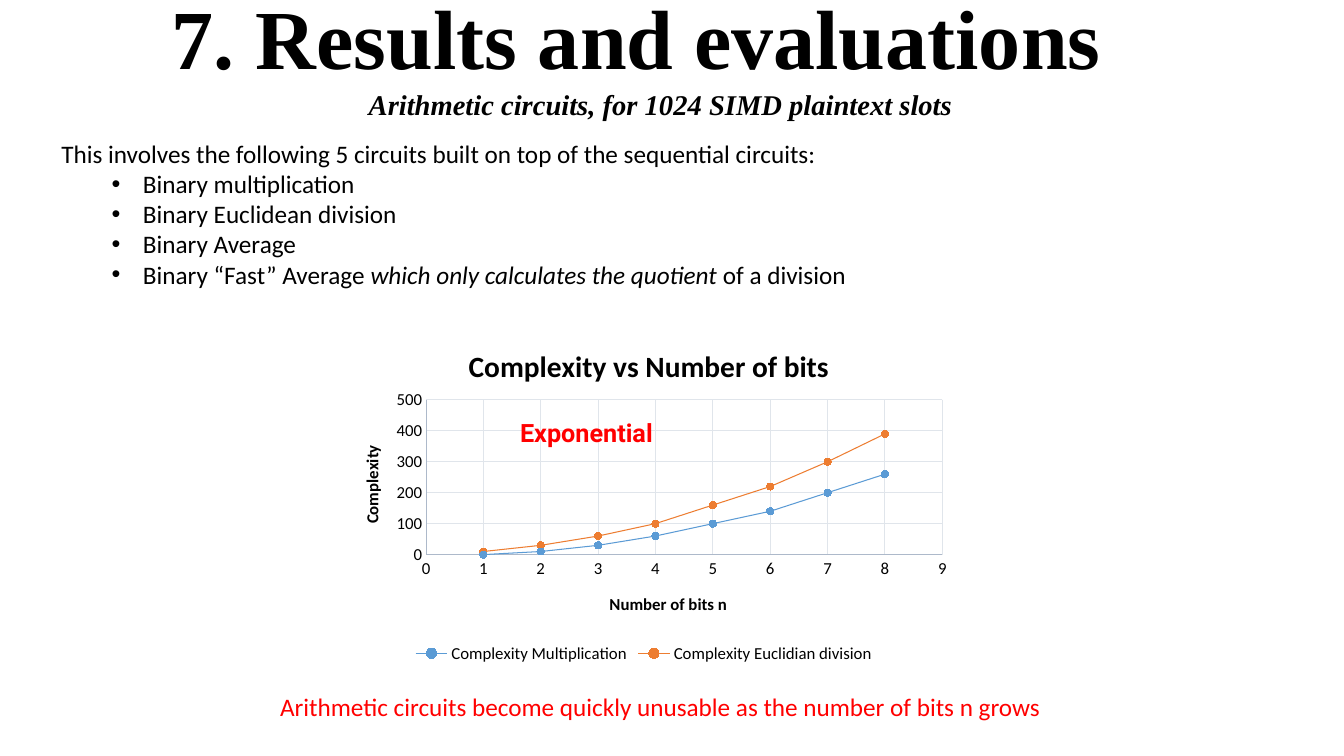
from dataclasses import dataclass

from lxml.etree import SubElement
from pptx import Presentation
from pptx.chart.data import XyChartData
from pptx.dml.color import RGBColor
from pptx.enum.chart import XL_CHART_TYPE as ChartType
from pptx.enum.chart import XL_LEGEND_POSITION as LegendPos
from pptx.enum.chart import XL_MARKER_STYLE as Marker
from pptx.enum.chart import XL_TICK_MARK as Tick
from pptx.enum.text import MSO_ANCHOR as Anchor
from pptx.enum.text import PP_ALIGN as Align
from pptx.oxml import parse_xml
from pptx.oxml.ns import nsdecls, qn
from pptx.util import Inches, Pt


@dataclass(frozen=True)
class Theme:
    body: str = "Calibri"
    heading: str = "Times New Roman"
    accent: str = "Roboto"
    black: str = "000000"
    red: str = "FF0000"
    axis: str = "ADB9CA"
    grid: str = "E0E5EB"
    title_pt: float = 60
    subtitle_pt: float = 20.4
    body_pt: float = 18
    chart_title_pt: float = 21
    chart_pt: float = 12
    line_pt: float = 0.75
    marker_pt: int = 5


@dataclass(frozen=True)
class Label:
    text: str
    box: tuple[float, float, float, float]
    font: str
    size: float
    color: str
    bold: bool = False
    italic: bool = False
    align: Align = Align.LEFT
    anchor: Anchor = Anchor.TOP
    spacing: float = 1.0


@dataclass(frozen=True)
class Curve:
    name: str
    values: tuple[int, ...]
    line: str
    marker: str


T = Theme()

LABELS = [
    Label("Exponential", (5.06, 4.09, 1.57, 0.4), T.accent, T.body_pt, T.red, bold=True),
    Label("7. Results and evaluations", (0, -0.13, 12.62, 1.05), T.heading, T.title_pt,
          T.black, True, False, Align.CENTER, Anchor.BOTTOM, 0.9),
    Label("Arithmetic circuits, for 1024 SIMD plaintext slots", (2.75, 0.88, 7.6, 0.36),
          T.heading, T.subtitle_pt, T.black, True, True, Align.CENTER, Anchor.BOTTOM, 0.7),
    Label("Arithmetic circuits become quickly unusable as the number of bits n grows",
          (1.82, 6.81, 9.46, 0.4), T.body, T.body_pt, T.red, align=Align.CENTER),
]
INTRO = Label("This involves the following 5 circuits built on top of the sequential circuits:",
              (0.51, 1.32, 12.38, 1.62), T.body, T.body_pt, T.black)
# Each circuit is a list of (text, italic) runs
CIRCUITS = [
    [("Binary multiplication", False)],
    [("Binary Euclidean division", False)],
    [("Binary Average", False)],
    [("Binary “Fast” Average ", False), ("which only calculates the quotient ", True),
     ("of a division", False)],
]
CURVES = [
    Curve("Complexity Multiplication", (0, 10, 30, 60, 100, 140, 200, 260), "5B9BD5", "559BDB"),
    Curve("Complexity Euclidian division", (10, 30, 60, 100, 160, 220, 300, 390),
          "ED7D31", "F67B28"),
]


def style_font(font, name: str, size: float, color: str,
               bold: bool = False, italic: bool = False) -> None:
    font.name, font.size, font.bold, font.italic = name, Pt(size), bold, italic
    font.color.rgb = RGBColor.from_string(color)


def style_line(line, color: str) -> None:
    line.width = Pt(T.line_pt)
    line.color.rgb = RGBColor.from_string(color)


def add_label(slide, label: Label):
    sp = slide.shapes.add_textbox(*map(Inches, label.box))
    tf = sp.text_frame
    tf.word_wrap = True
    tf.vertical_anchor = label.anchor
    tf.text = label.text
    p = tf.paragraphs[0]
    p.alignment, p.line_spacing = label.align, label.spacing
    style_font(p.runs[0].font, label.font, label.size, label.color, label.bold, label.italic)
    return tf


def add_bullet(tf, runs: list[tuple[str, bool]]) -> None:
    p = tf.add_paragraph()
    p.level = 1
    for text, italic in runs:
        r = p.add_run()
        r.text = text
        style_font(r.font, T.body, T.body_pt, T.black, italic=italic)
    pPr = p._p.get_or_add_pPr()
    pPr.set("marL", str(Inches(0.81)))
    pPr.set("indent", str(Inches(-0.31)))
    SubElement(pPr, qn("a:buFont")).set("typeface", "Arial")
    SubElement(pPr, qn("a:buChar")).set("char", "•")


def place(element, inner: bool = False, **fractions: float) -> None:
    """Fix the place of a chart part, in fractions of the chart."""
    for old in element.findall(qn("c:layout")):
        element.remove(old)
    target = '<c:layoutTarget val="inner"/>' if inner else ""
    modes = "".join(f'<c:{k}Mode val="edge"/>' for k in "xy")
    sizes = "".join(f'<c:{k} val="{v}"/>' for k, v in fractions.items())
    layout = parse_xml(f'<c:layout {nsdecls("c")}><c:manualLayout>{target}{modes}{sizes}'
                       "</c:manualLayout></c:layout>")
    tx = element.find(qn("c:tx"))
    if tx is None:
        element.insert(0, layout)
    else:
        tx.addnext(layout)


def add_title(title, text: str, size: float, x: float, y: float) -> None:
    tf = title.text_frame
    tf.text = text
    style_font(tf.paragraphs[0].runs[0].font, T.body, size, T.black, bold=True)
    place(title._element, x=x, y=y)


def style_axis(axis, title: str, top: int, step: int, x: float, y: float) -> None:
    axis.minimum_scale, axis.maximum_scale, axis.major_unit = 0, top, step
    axis.major_tick_mark = axis.minor_tick_mark = Tick.NONE
    axis.has_major_gridlines = True
    style_line(axis.major_gridlines.format.line, T.grid)
    style_line(axis.format.line, T.axis)
    style_font(axis.tick_labels.font, T.body, T.chart_pt, T.black)
    add_title(axis.axis_title, title, T.chart_pt, x, y)


def add_complexity_chart(slide) -> None:
    data = XyChartData()
    for curve in CURVES:
        series = data.add_series(curve.name)
        for bits, value in enumerate(curve.values, 1):
            series.add_data_point(bits, value)
    box = map(Inches, (3.3, 3.13, 6.17, 3.49))
    chart = slide.shapes.add_chart(ChartType.XY_SCATTER_LINES, *box, data).chart
    style_font(chart.font, T.body, T.chart_pt, T.black)
    chart.plots[0].vary_by_categories = False
    place(chart._chartSpace.chart.plotArea, inner=True, x=0.15, y=0.24, w=0.83, h=0.44)

    # Titles, axes and legend
    chart.has_title = True
    add_title(chart.chart_title, "Complexity vs Number of bits", T.chart_title_pt, 0.21, 0.07)
    style_axis(chart.category_axis, "Number of bits n", 9, 1, 0.44, 0.78)
    style_axis(chart.value_axis, "Complexity", 500, 100, 0.04, 0.36)
    chart.has_legend = True
    chart.legend.position = LegendPos.BOTTOM
    chart.legend.include_in_layout = False
    style_font(chart.legend.font, T.body, T.chart_pt, T.black)

    # Curves
    for series, curve in zip(chart.plots[0].series, CURVES):
        series.smooth = False
        style_line(series.format.line, curve.line)
        marker = series.marker
        marker.style, marker.size = Marker.CIRCLE, T.marker_pt
        marker.format.fill.solid()
        marker.format.fill.fore_color.rgb = RGBColor.from_string(curve.marker)
        style_line(marker.format.line, curve.line)


def main() -> None:
    prs = Presentation()
    prs.slide_width, prs.slide_height = Inches(13.33), Inches(7.5)
    slide = prs.slides.add_slide(prs.slide_layouts[6])

    # List of circuits
    tf = add_label(slide, INTRO)
    for runs in CIRCUITS:
        add_bullet(tf, runs)

    # Chart, then the labels on top of it
    add_complexity_chart(slide)
    for label in LABELS:
        add_label(slide, label)
    prs.save("out.pptx")


if __name__ == "__main__":
    main()
